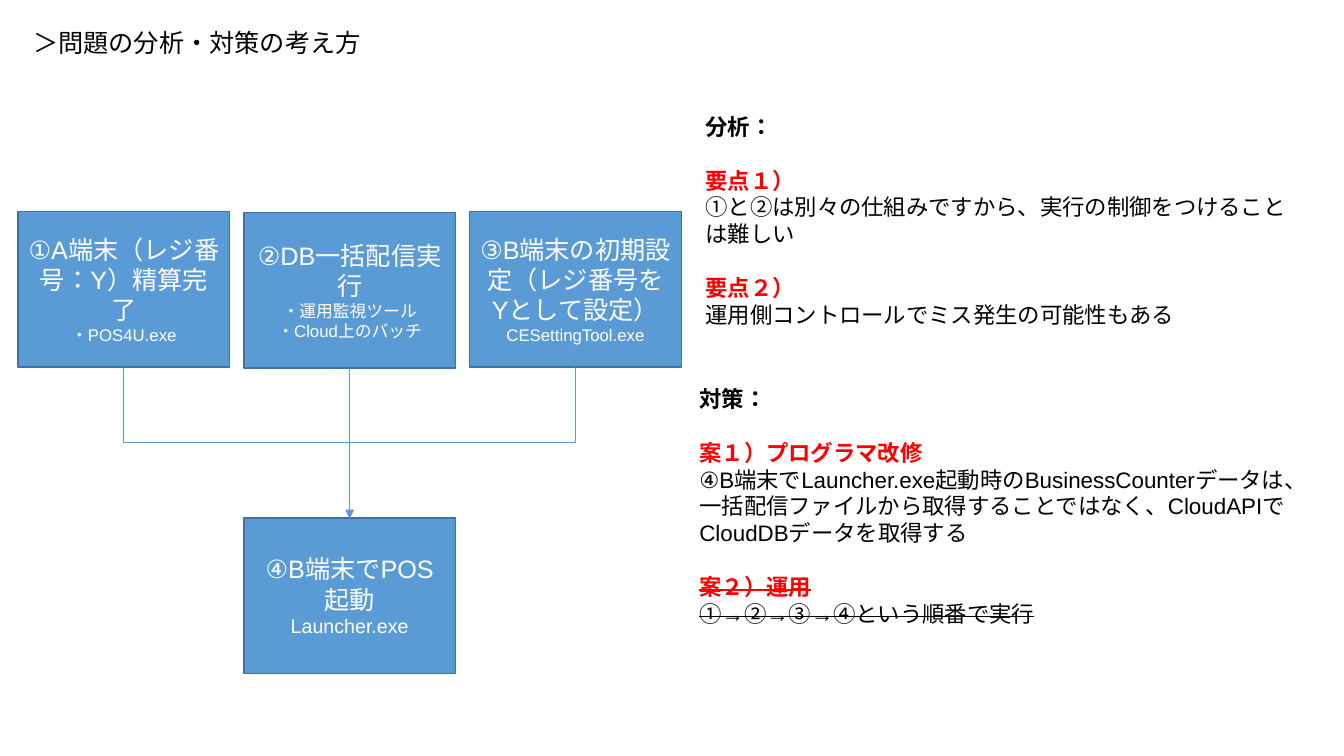
import dataclasses

import lxml.etree
import pptx
import pptx.dml.color
import pptx.enum.lang
import pptx.enum.shapes
import pptx.enum.text
import pptx.oxml
import pptx.oxml.ns
import pptx.shapes.autoshape
import pptx.shapes.connector
import pptx.slide
import pptx.text.text
import pptx.util

Pt = pptx.util.Pt
qn = pptx.oxml.ns.qn

HUES = {
    "fill": "5B9BD5",
    "edge": "42719B",
    "white": "FFFFFF",
    "black": "000000",
    "red": "FF0000",
}
FACE = "Arial"
LANG = pptx.enum.lang.MSO_LANGUAGE_ID.JAPANESE
FRAME = {
    "word_wrap": True,
    "margin_left": Pt(7.2),
    "margin_right": Pt(7.2),
    "margin_top": Pt(3.6),
    "margin_bottom": Pt(3.6),
}
WIDE, HIGH = 151.2, 110.88
LEFT, STEP = 12.96, 161.28
GAP = 19.3


@dataclasses.dataclass
class Line:
    text: str
    size: float = 16
    hue: str = "black"
    bold: bool = False
    strike: bool = False
    gap: float = 0


@dataclasses.dataclass
class Box:
    col: int
    top: float
    lines: list[Line]

    @property
    def left(self) -> float:
        return LEFT + self.col * STEP

    @property
    def mid(self) -> float:
        return self.left + WIDE / 2


@dataclasses.dataclass
class Note:
    left: float
    top: float
    width: float
    height: float
    lines: list[Line]


def label(text: str, size: float = 18) -> Line:
    return Line(text, size, "white")


def point(text: str, strike: bool = False) -> Line:
    return Line(text, hue="red", bold=True, strike=strike, gap=GAP)


STEPS = [
    Box(0, 151.2, [label("①A端末（レジ番号：Y）精算完了"), label("・POS4U.exe", 12)]),
    Box(1, 151.92, [
        label("②DB一括配信実行"),
        label("・運用監視ツール", 12),
        label("・Cloud上のバッチ", 12),
    ]),
    Box(2, 151.2, [
        label("③B端末の初期設定（レジ番号をYとして設定）"),
        label("CESettingTool.exe", 12),
    ]),
]
START = Box(1, 370.08, [label("④B端末でPOS起動"), label("Launcher.exe", 14)])

NOTES = [
    Note(16.56, 15.84, 250.56, 28.8, [Line("＞問題の分析・対策の考え方", 18)]),
    Note(496.8, 77.04, 437.76, 181.44, [
        Line("分析：", bold=True),
        point("要点１）"),
        Line("①と②は別々の仕組みですから、実行の制御をつけることは難しい"),
        point("要点２）"),
        Line("運用側コントロールでミス発生の可能性もある"),
    ]),
    Note(492.48, 271.44, 437.76, 200.88, [
        Line("対策：", bold=True),
        point("案１）プログラマ改修"),
        Line(
            "④B端末でLauncher.exe起動時のBusinessCounterデータは、"
            "一括配信ファイルから取得することではなく、"
            "CloudAPIでCloudDBデータを取得する"
        ),
        point("案２）運用", strike=True),
        Line("①→②→③→④という順番で実行", strike=True),
    ]),
]


def tint(name: str) -> pptx.dml.color.RGBColor:
    return pptx.dml.color.RGBColor.from_string(HUES[name])


def apply(item: object, form: dict[str, object]) -> None:
    for name, value in form.items():
        setattr(item, name, value)


def write(
    frame: pptx.text.text.TextFrame,
    lines: list[Line],
    align: pptx.enum.text.PP_ALIGN,
) -> None:
    apply(frame, FRAME)
    for rank, line in enumerate(lines):
        para = frame.add_paragraph() if rank else frame.paragraphs[0]
        para.alignment = align
        if line.gap:
            para.space_before = Pt(line.gap)
        run = para.add_run()
        run.text = line.text
        apply(run.font, {
            "name": FACE,
            "size": Pt(line.size),
            "bold": line.bold,
            "language_id": LANG,
        })
        run.font.color.rgb = tint(line.hue)
        props = run._r.get_or_add_rPr()
        lxml.etree.SubElement(props, qn("a:ea")).set("typeface", FACE)
        if line.strike:
            props.set("strike", "sngStrike")


def draw_box(slide: pptx.slide.Slide, box: Box) -> None:
    shape = slide.shapes.add_shape(
        pptx.enum.shapes.MSO_SHAPE.RECTANGLE,
        Pt(box.left), Pt(box.top), Pt(WIDE), Pt(HIGH),
    )
    shape.shadow.inherit = False
    shape.fill.solid()
    shape.fill.fore_color.rgb = tint("fill")
    shape.line.color.rgb = tint("edge")
    shape.line.width = Pt(1)
    shape.text_frame.vertical_anchor = pptx.enum.text.MSO_ANCHOR.MIDDLE
    write(shape.text_frame, box.lines, pptx.enum.text.PP_ALIGN.CENTER)


def draw_link(slide: pptx.slide.Slide, tail: Box, head: Box) -> None:
    foot = tail.top + HIGH
    mid_x, mid_y = (tail.mid + head.mid) / 2, (foot + head.top) / 2
    half_x, half_y = abs(head.mid - tail.mid) / 2, (head.top - foot) / 2
    right = tail.mid <= head.mid
    side = half_y if right else -half_y
    link = slide.shapes.add_connector(
        pptx.enum.shapes.MSO_CONNECTOR.ELBOW,
        Pt(mid_x + side), Pt(mid_y - half_x),
        Pt(mid_x - side), Pt(mid_y + half_x),
    )
    props = link._element.spPr
    props.find(qn("a:xfrm")).set("rot", str((270 if right else 90) * 60000))
    link.line.color.rgb = tint("fill")
    link.line.width = Pt(0.75)
    lxml.etree.SubElement(props.find(qn("a:ln")), qn("a:tailEnd")).set("type", "triangle")
    lxml.etree.SubElement(props, qn("a:effectLst"))


def draw_note(slide: pptx.slide.Slide, note: Note) -> None:
    shape = slide.shapes.add_textbox(
        Pt(note.left), Pt(note.top), Pt(note.width), Pt(note.height)
    )
    write(shape.text_frame, note.lines, pptx.enum.text.PP_ALIGN.LEFT)


def main() -> None:
    deck = pptx.Presentation()
    apply(deck, {"slide_width": Pt(960), "slide_height": Pt(540)})
    slide = deck.slides.add_slide(deck.slide_layouts[6])
    for box in [*STEPS, START]:
        draw_box(slide, box)
    for box in STEPS:
        draw_link(slide, box, START)
    for note in NOTES:
        draw_note(slide, note)
    deck.save("out.pptx")


if __name__ == "__main__":
    main()
